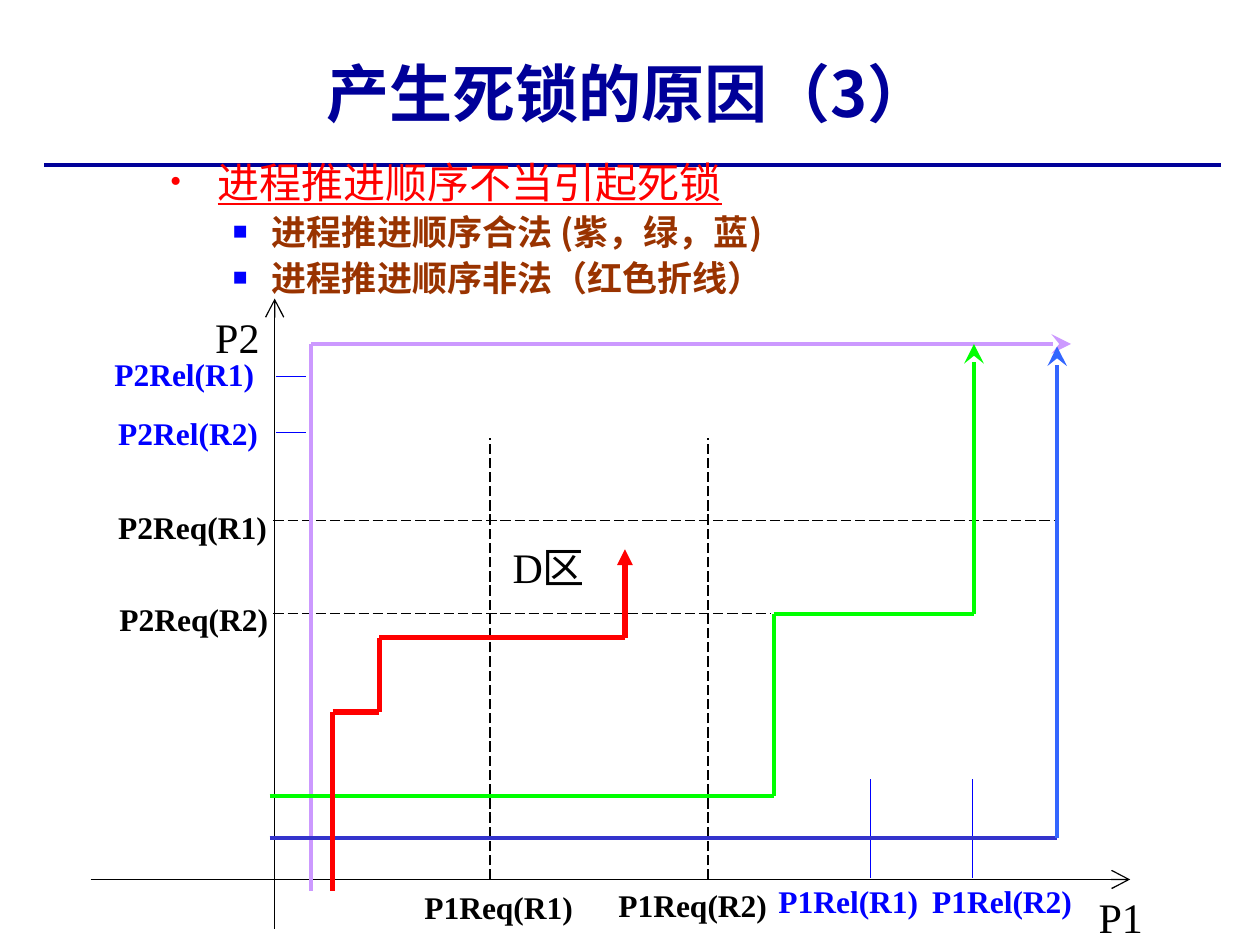
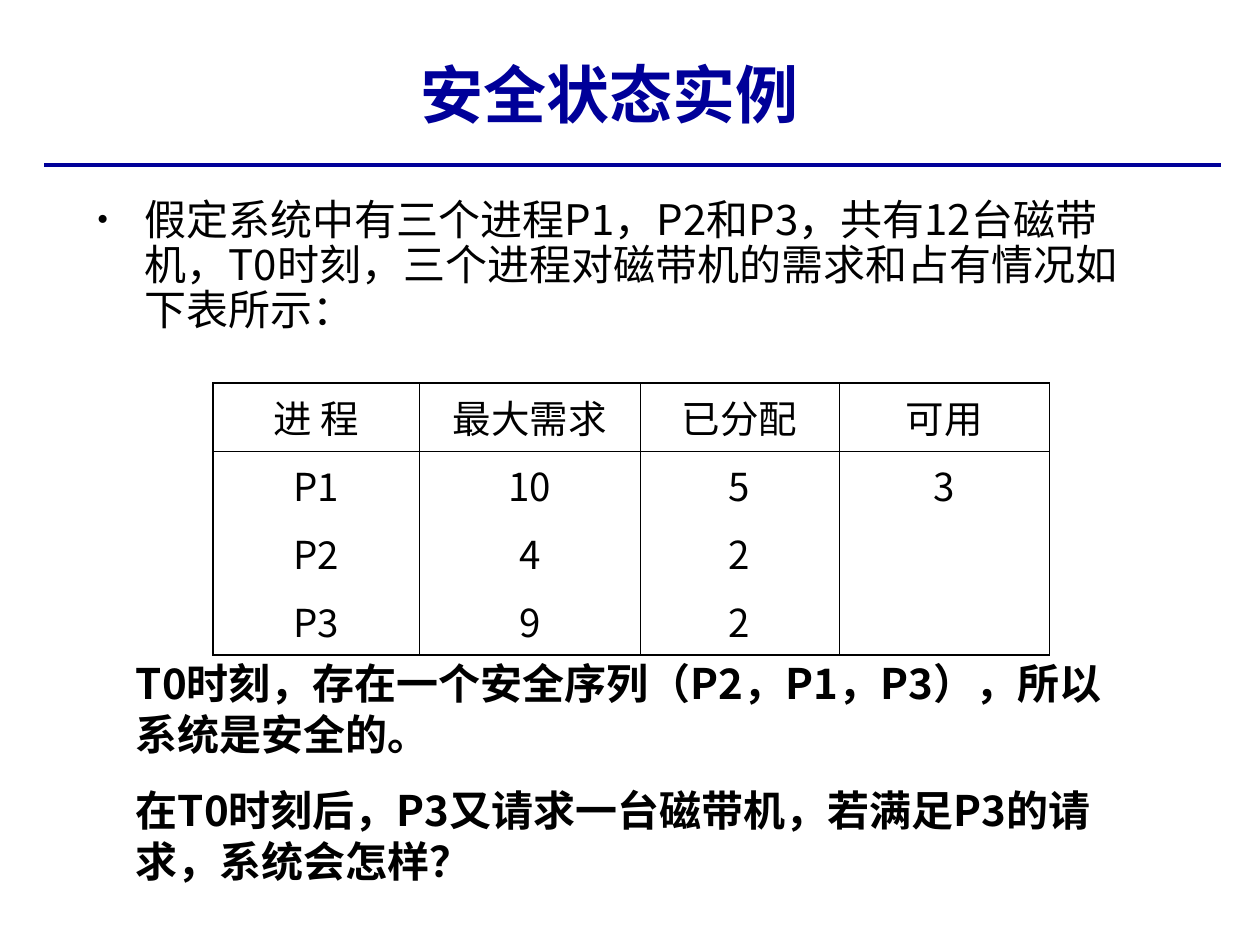
"""Build two slides on deadlock: process progress paths and a safe state example."""
from itertools import pairwise

from lxml.etree import SubElement
from pptx import Presentation
from pptx.dml.color import RGBColor
from pptx.enum.dml import MSO_LINE
from pptx.enum.shapes import MSO_CONNECTOR
from pptx.enum.text import MSO_ANCHOR, MSO_AUTO_SIZE, PP_ALIGN
from pptx.oxml import parse_xml
from pptx.oxml.ns import nsdecls, qn
from pptx.util import Inches, Pt

NAVY, BLACK, BLUE, RED, BROWN = "000099", "000000", "0000FF", "FF0000", "993300"
SANS, SERIF, TITLE_LATIN = "Noto Sans CJK SC", "Times New Roman", "Lato"


def write(frame, text, size=24, color=BLACK, font=SANS, bold=False, underline=False,
          align=PP_ALIGN.LEFT, spacing=None, before=None, bullet=None):
    """Add a paragraph; bullet is (symbol, colour, percent, margin, hanging)."""
    para = frame.paragraphs[0] if not frame.text else frame.add_paragraph()
    para.alignment = align
    if spacing:
        para.line_spacing = spacing
    if before:
        para.space_before = Pt(before)
    if bullet:
        symbol, bullet_color, percent, margin, hanging = bullet
        properties = para._p.get_or_add_pPr()
        properties.set("marL", str(Inches(margin)))
        properties.set("indent", str(-Inches(hanging)))
        shade = SubElement(properties, qn("a:buClr"))
        SubElement(shade, qn("a:srgbClr")).set("val", bullet_color)
        SubElement(properties, qn("a:buSzPct")).set("val", str(percent * 1000))
        SubElement(properties, qn("a:buFont")).set("typeface", SERIF)
        SubElement(properties, qn("a:buChar")).set("char", symbol)
    span = para.add_run()
    span.text = text
    span.font.size = Pt(size)
    span.font.name = font
    span.font.bold = bold
    span.font.underline = underline
    span.font.color.rgb = RGBColor.from_string(color)
    SubElement(span._r.get_or_add_rPr(), qn("a:ea")).set("typeface", SANS)


def draw_line(page, start, end, color=BLACK, width=0.75, dash=None, arrow=None):
    """Draw a straight line between two points given in inches."""
    line = page.shapes.add_connector(
        MSO_CONNECTOR.STRAIGHT, *[Inches(value) for value in (*start, *end)])
    line.line.color.rgb = RGBColor.from_string(color)
    line.line.width = Pt(width)
    if dash:
        line.line.dash_style = dash
    if arrow:
        head = SubElement(line.line._get_or_add_ln(), qn("a:tailEnd"))
        head.set("type", arrow)
        if arrow != "triangle":
            head.set("w", "lg")
            head.set("len", "lg")
    SubElement(line._element.spPr, qn("a:effectLst"))


deck = Presentation()
deck.slide_width, deck.slide_height = Inches(10), Inches(7.5)

titles = [
    ("产生死锁的原因（3）", SANS, (1.75, 0.32, 6.48, 0.76)),
    ("安全状态实例", TITLE_LATIN, (1.44, 0.28, 6.79, 0.81)),
]
for title, font, area in titles:
    page = deck.slides.add_slide(deck.slide_layouts[6])
    draw_line(page, (0.35, 1.31), (9.69, 1.31), NAVY, 2.5)
    box = page.shapes.add_textbox(*[Inches(value) for value in area])
    box.text_frame.word_wrap = True
    box.text_frame.vertical_anchor = MSO_ANCHOR.BOTTOM
    write(box.text_frame, title, size=36, color=NAVY, font=font, bold=True,
          align=PP_ALIGN.CENTER)
causes_page, safety_page = deck.slides

box = causes_page.shapes.add_textbox(Inches(1.25), Inches(1.15), Inches(8.04), Inches(1.73))
box.text_frame.word_wrap = True
write(box.text_frame, "进程推进顺序不当引起死锁", color=RED, underline=True, spacing=1.1,
      bullet=("•", RED, 80, 0.38, 0.38))
for text in ["进程推进顺序合法 (紫，绿，蓝)", "进程推进顺序非法（红色折线）"]:
    write(box.text_frame, text, size=20, color=BROWN, bold=True, spacing=1.1,
          bullet=("■", BLUE, 70, 0.81, 0.31))

draw_line(causes_page, (2.18, 7.37), (2.18, 2.37), arrow="arrow")
draw_line(causes_page, (0.72, 6.98), (8.97, 6.98), arrow="arrow")
for x in (3.89, 5.62):
    draw_line(causes_page, (x, 6.98), (x, 3.48), dash=MSO_LINE.LONG_DASH)
for y, right in [(4.87, 6.12), (4.13, 8.4)]:
    draw_line(causes_page, (2.17, y), (right, y), dash=MSO_LINE.LONG_DASH)
for x in (6.91, 7.72):
    draw_line(causes_page, (x, 6.97), (x, 6.18), BLUE)
for y in (3.43, 2.99):
    draw_line(causes_page, (2.19, y), (2.43, y), BLUE)

axis_labels = [
    ("P1", 8.62, 7.03, 0.65), ("P2", 1.61, 2.42, 0.65), ("D区", 3.97, 4.25, 1),
    ("P1Req(R1)", 3.27, 7, 1.5), ("P1Req(R2)", 4.81, 6.98, 1.5),
    ("P1Rel(R1)", 6.08, 6.95, 1.4), ("P1Rel(R2)", 7.3, 6.95, 1.4),
    ("P2Req(R2)", 0.85, 4.71, 1.5), ("P2Req(R1)", 0.84, 3.98, 1.5),
    ("P2Rel(R2)", 0.84, 3.24, 1.4), ("P2Rel(R1)", 0.81, 2.77, 1.4),
]
for text, left, top, width in axis_labels:
    is_event = "(" in text
    box = causes_page.shapes.add_textbox(
        Inches(left), Inches(top), Inches(width), Inches(0.4 if is_event else 0.5))
    box.text_frame.word_wrap = True
    write(box.text_frame, text, size=18 if is_event else 24, font=SERIF, bold=is_event,
          color=BLUE if "Rel" in text else BLACK)

progress_paths = [
    ("CC99FF", 2.25, "stealth", [(2.47, 7.07), (2.47, 2.73), (8.5, 2.73)]),
    ("3333CC", 2.25, None, [(2.14, 6.65), (8.39, 6.65)]),
    ("3366FF", 2.25, "stealth", [(8.39, 6.65), (8.39, 2.75)]),
    ("00FF00", 2.25, "stealth",
     [(2.14, 6.32), (6.14, 6.32), (6.14, 4.87), (7.73, 4.87), (7.73, 2.73)]),
    (RED, 3, "triangle",
     [(2.64, 7.07), (2.64, 5.65), (3.01, 5.65), (3.01, 5.06), (4.96, 5.06), (4.96, 4.36)]),
]
for color, width, arrow, points in progress_paths:
    for start, end in pairwise(points):
        draw_line(causes_page, start, end, color, width,
                  arrow=arrow if end == points[-1] else None)

box = safety_page.shapes.add_textbox(Inches(0.67), Inches(1.53), Inches(8.39), Inches(1.27))
box.text_frame.word_wrap = True
write(box.text_frame,
      "假定系统中有三个进程P1，P2和P3，共有12台磁带机，T0时刻，"
      "三个进程对磁带机的需求和占有情况如下表所示：",
      spacing=0.9, bullet=("•", BLACK, 80, 0.38, 0.38))

allocation = [
    ["进 程", "最大需求", "已分配", "可用"],
    ["P1", "10", "5", "3"],
    ["P2", "4", "2", ""],
    ["P3", "9", "2", ""],
]
THICK, THIN = 1.08, 0.45
last = len(allocation) - 1
table = safety_page.shapes.add_table(
    4, 4, Inches(1.69), Inches(3.04), Inches(6.64), Inches(2.16)).table
table.first_row = table.horz_banding = False
for column, width in zip(table.columns, (1.64, 1.75, 1.58, 1.67)):
    column.width = Inches(width)
for row_index, row in enumerate(allocation):
    table.rows[row_index].height = Inches(0.54)
    for column_index, text in enumerate(row):
        cell = table.cell(row_index, column_index)
        cell.vertical_anchor = MSO_ANCHOR.MIDDLE
        cell.margin_left = cell.margin_right = Inches(0.1)
        cell.margin_top = cell.margin_bottom = Inches(0.05)
        cell.fill.background()
        if text:
            write(cell.text_frame, text, size=22, align=PP_ALIGN.CENTER)
        borders = {
            "lnL": THICK if column_index == 0 else THIN,
            "lnR": THICK if column_index == last else THIN,
            "lnT": {0: THICK, 1: THIN}.get(row_index),
            "lnB": {0: THIN, last: THICK}.get(row_index),
        }
        for position, (side, width) in enumerate(borders.items()):
            paint = (f'<a:solidFill><a:srgbClr val="{BLACK}"/></a:solidFill>'
                     if width else "<a:noFill/>")
            border = parse_xml(
                f'<a:{side} {nsdecls("a")} w="{Pt(width or 0)}">{paint}</a:{side}>')
            cell._tc.get_or_add_tcPr().insert(position, border)

box = safety_page.shapes.add_textbox(Inches(0.98), Inches(5.17), Inches(7.93), Inches(1.91))
box.text_frame.word_wrap = True
box.text_frame.auto_size = MSO_AUTO_SIZE.SHAPE_TO_FIT_TEXT
write(box.text_frame, "T0时刻，存在一个安全序列（P2，P1，P3），所以系统是安全的。", bold=True)
write(box.text_frame, "在T0时刻后，P3又请求一台磁带机，若满足P3的请求，系统会怎样？",
      bold=True, before=15)

deck.save("out.pptx")
